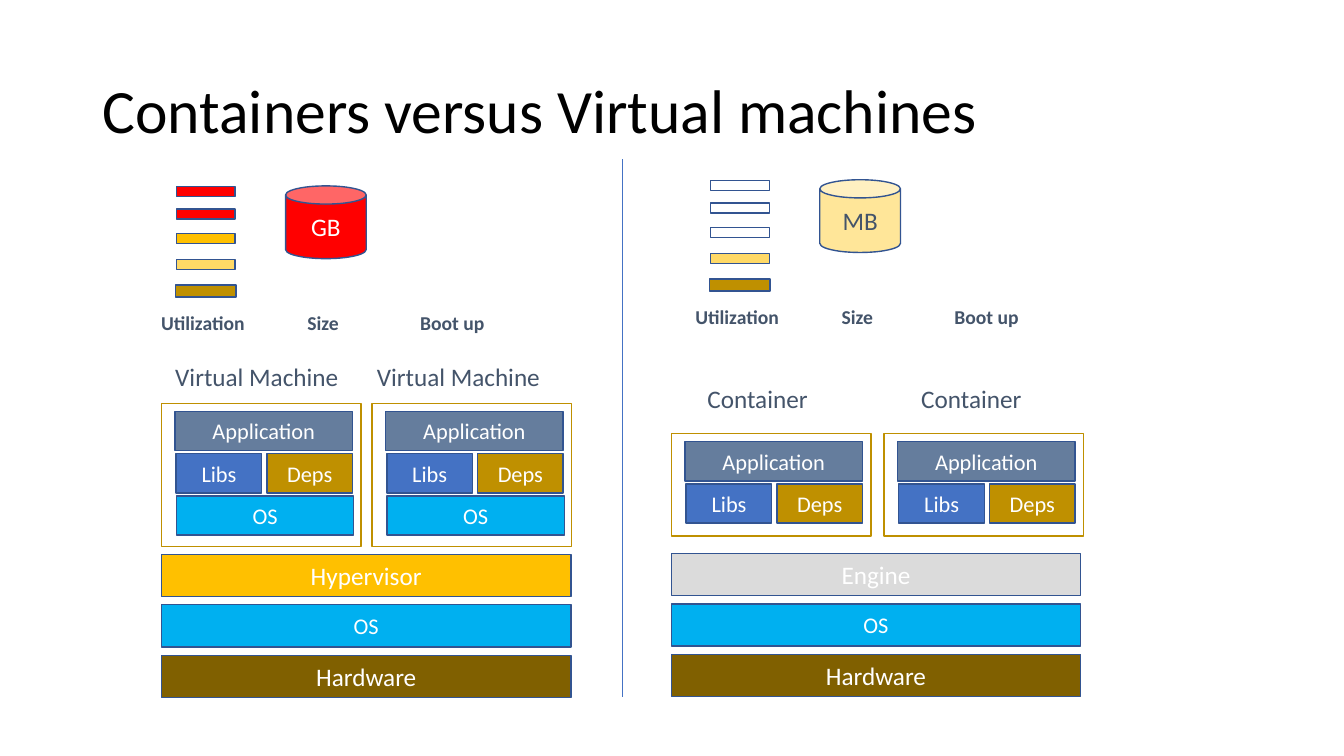
from dataclasses import dataclass

from lxml import etree
from pptx import Presentation
from pptx.dml.color import RGBColor
from pptx.enum.shapes import MSO_CONNECTOR, MSO_SHAPE
from pptx.enum.text import MSO_ANCHOR, MSO_AUTO_SIZE, PP_ALIGN
from pptx.oxml.ns import qn
from pptx.util import Pt

RECTANGLE, CAN = MSO_SHAPE.RECTANGLE, MSO_SHAPE.CAN
STRAIGHT = MSO_CONNECTOR.STRAIGHT
LEFT, CENTER = PP_ALIGN.LEFT, PP_ALIGN.CENTER
MIDDLE = MSO_ANCHOR.MIDDLE
FIT_SHAPE = MSO_AUTO_SIZE.SHAPE_TO_FIT_TEXT
TITLE_ONLY = 5


@dataclass(frozen=True)
class Theme:
    font: str = "Calibri"
    title_size: int = 44
    large: int = 18
    medium: int = 16
    small: int = 14
    black: str = "000000"
    white: str = "FFFFFF"
    slate: str = "44546A"
    outline: str = "325491"
    blue: str = "4472C4"
    sky: str = "00B0F0"
    steel: str = "657D9D"
    brown: str = "806000"
    gold: str = "BF9000"
    amber: str = "FFC000"
    yellow: str = "FFD966"
    cream: str = "FFE699"
    red: str = "FF0000"
    grey: str = "DBDBDB"


THEME = Theme()
BAR_OFFSETS = (0, 16.2, 33.8, 52.2)
CAPTIONS = (("Utilization", -18, 75), ("Size", 86.4, 37.4), ("Boot up", 167, 61.2))


def rgb(color):
    return RGBColor.from_string(color)


def add_run(paragraph, text, size, color, bold=False):
    run = paragraph.add_run()
    run.text = text
    run.font.name = THEME.font
    run.font.size = Pt(size)
    run.font.bold = bold
    run.font.color.rgb = rgb(color)


def add_block(slide, box, fill, text="", size=THEME.medium, color=THEME.white,
              line=THEME.outline, kind=RECTANGLE):
    """Add an outlined shape; a fill of None leaves it hollow."""
    block = slide.shapes.add_shape(kind, *map(Pt, box))
    block.shadow.inherit = False
    if fill:
        block.fill.solid()
        block.fill.fore_color.rgb = rgb(fill)
    else:
        block.fill.background()
    block.line.color.rgb = rgb(line)
    block.line.width = Pt(1)
    if text:
        block.text_frame.vertical_anchor = MIDDLE
        paragraph = block.text_frame.paragraphs[0]
        paragraph.alignment = CENTER
        add_run(paragraph, text, size, color)


def add_label(slide, box, text, size, bold=False):
    frame = slide.shapes.add_textbox(*map(Pt, box)).text_frame
    frame.word_wrap = False
    frame.auto_size = FIT_SHAPE
    add_run(frame.paragraphs[0], text, size, THEME.slate, bold)


def add_title(slide, text):
    title = slide.shapes.title
    title.left, title.top, title.width, title.height = map(Pt, (66, 28.8, 828, 104.4))
    title.text_frame.vertical_anchor = MIDDLE
    paragraph = title.text_frame.paragraphs[0]
    paragraph.alignment = LEFT
    paragraph.line_spacing = 0.9
    add_run(paragraph, text, THEME.title_size, THEME.black)


def add_divider(slide):
    divider = slide.shapes.add_connector(STRAIGHT, *map(Pt, (444.2, 113.8, 444.2, 498.2)))
    divider.line.color.rgb = rgb(THEME.blue)
    divider.line.width = Pt(0.5)
    etree.SubElement(divider.element.spPr, qn("a:effectLst"))


def add_host(slide, left, top, engine, engine_fill):
    """Stack the engine, the host OS and the hardware."""
    layers = ((engine, engine_fill, THEME.large), ("OS", THEME.sky, THEME.medium),
              ("Hardware", THEME.brown, THEME.large))
    for row, (text, fill, size) in enumerate(layers):
        add_block(slide, (left, top + 36 * row, 292.4, 30.2), fill, text, size)


def add_guest(slide, left, top, has_os):
    """Frame one application with its libraries and, for a machine, its OS."""
    add_block(slide, (left, top, 142.6, 102.2 if has_os else 73.4), None, line=THEME.gold)
    parts = [("Application", THEME.steel, 9.8, 5.8, 126.7),
             ("Libs", THEME.blue, 10.6, 36, 61.2),
             ("Deps", THEME.gold, 75.4, 36, 61.2)]
    if has_os:
        parts.append(("OS", THEME.sky, 10.8, 66.2, 126.7))
    for text, fill, dx, dy, width in parts:
        add_block(slide, (left + dx, top + dy, width, 28.1), fill, text)


def add_metrics(slide, left, top, bar_fills, unit, can_fill, unit_color):
    """Draw the utilization bars, the size can and the captions."""
    for offset, fill in zip(BAR_OFFSETS, bar_fills):
        add_block(slide, (left, top + offset, 42, 7.2), fill)
    add_block(slide, (left - 0.7, top + 70.4, 43.2, 8.6), THEME.gold)
    add_block(slide, (left + 78, top - 0.4, 57.6, 52), can_fill, unit,
              THEME.large, unit_color, kind=CAN)
    for text, dx, width in CAPTIONS:
        add_label(slide, (left + dx, top + 85.3, width, 24.2), text, THEME.small, True)


def main():
    presentation = Presentation()
    presentation.slide_width, presentation.slide_height = Pt(960), Pt(540)
    slide = presentation.slides.add_slide(presentation.slide_layouts[TITLE_ONLY])
    add_title(slide, "Containers versus Virtual machines")
    add_divider(slide)

    add_metrics(slide, 126, 133.2, (THEME.red, THEME.red, THEME.amber, THEME.yellow),
                "GB", THEME.red, THEME.white)
    add_host(slide, 115.4, 396, "Hypervisor", THEME.amber)
    for guest_left, name_left in ((115.2, 118.1), (265.7, 262.1)):
        add_guest(slide, guest_left, 288, True)
        add_label(slide, (name_left, 254.9, 132.5, 28.8), "Virtual Machine", THEME.large)

    add_metrics(slide, 507.6, 128.8, (THEME.white,) * 3 + (THEME.yellow,),
                "MB", THEME.cream, THEME.slate)
    add_host(slide, 479.5, 395.3, "Engine", THEME.grey)
    for guest_left, name_left in ((479.5, 498.2), (631.4, 650.9)):
        add_guest(slide, guest_left, 309.6, False)
        add_label(slide, (name_left, 270.4, 87.1, 28.8), "Container", THEME.large)

    presentation.save("out.pptx")


if __name__ == "__main__":
    main()
